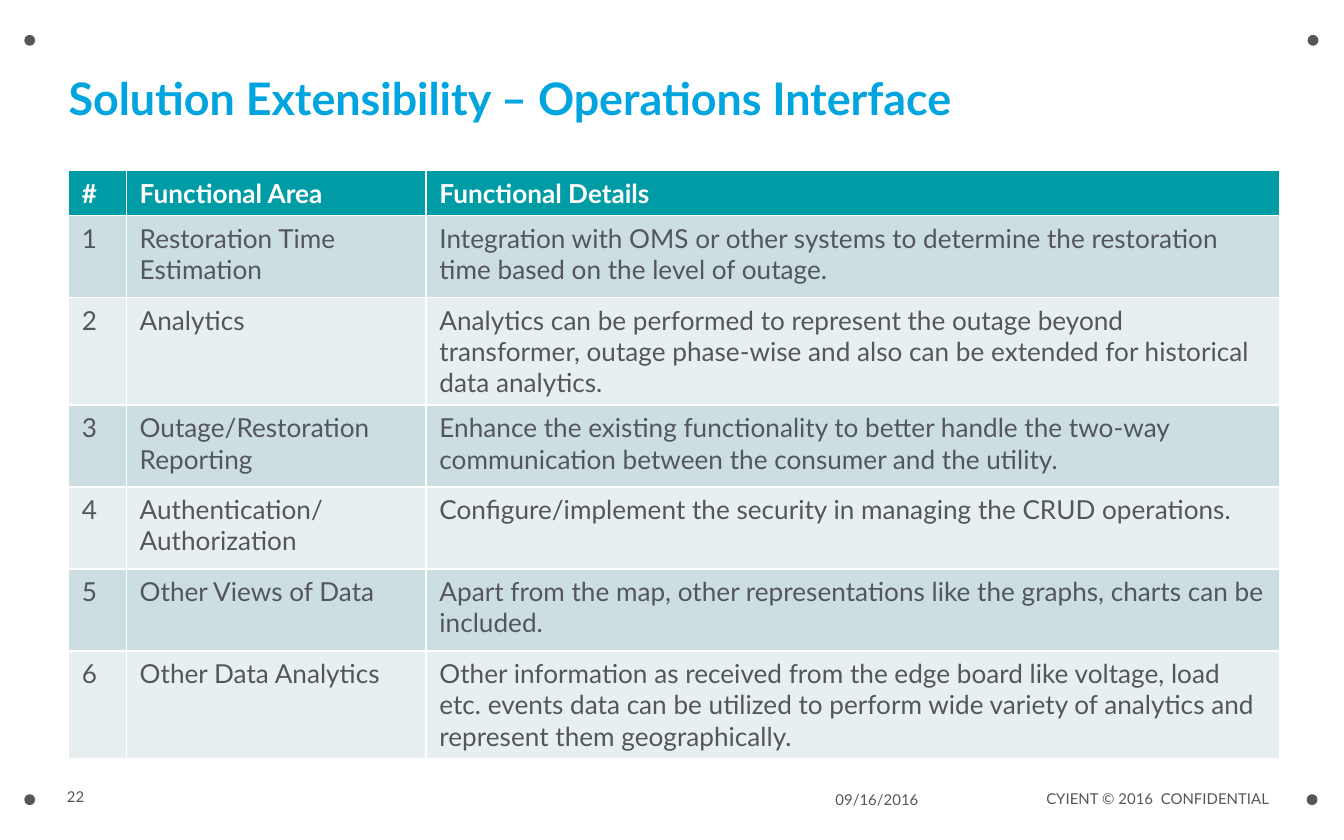
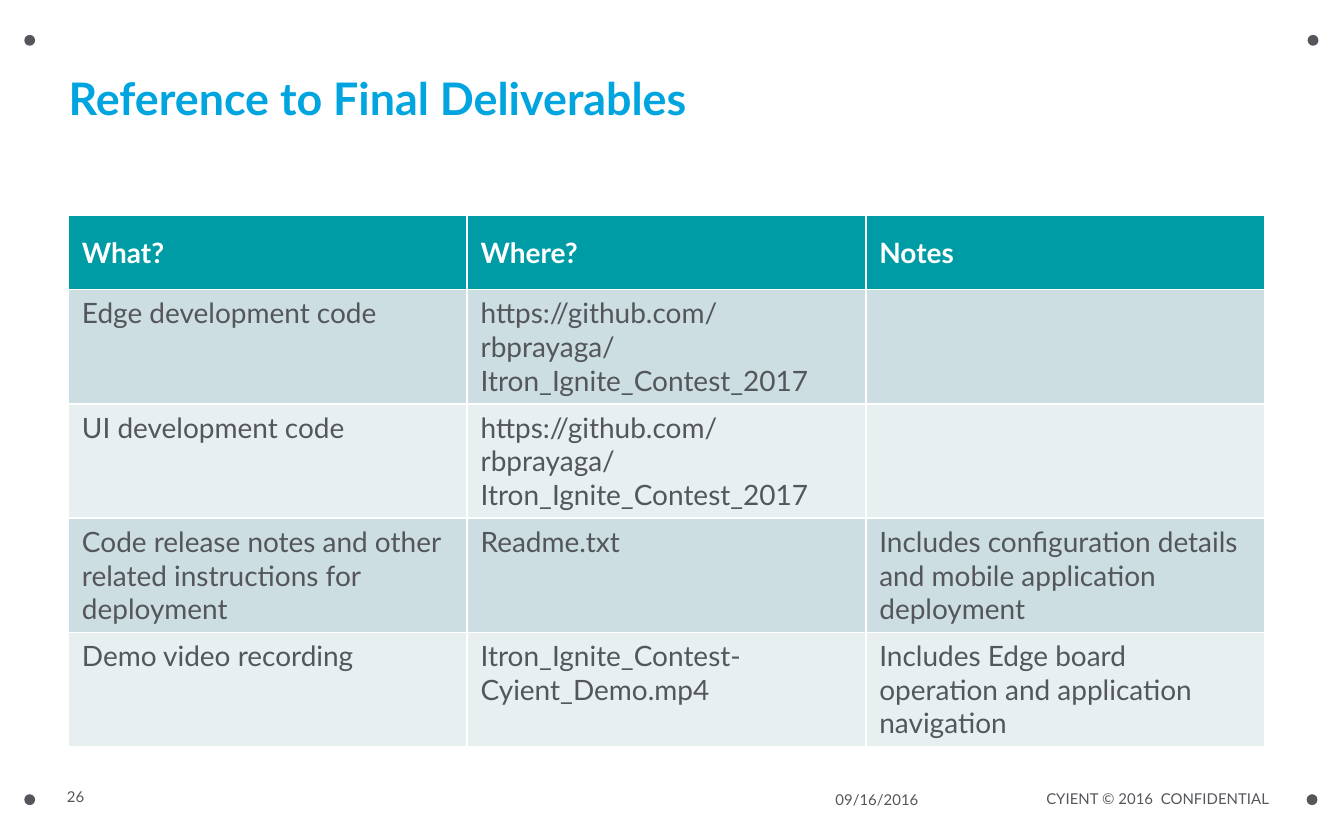
from dataclasses import dataclass

from pptx import Presentation
from pptx.dml.color import RGBColor
from pptx.enum import shapes, text
from pptx.util import Pt

BLUE = RGBColor(0x00, 0xA5, 0xDF)
TEAL = RGBColor(0x00, 0x9C, 0xA6)
GREY = RGBColor(0x53, 0x56, 0x5A)
WHITE = RGBColor(0xFF, 0xFF, 0xFF)
BANDS = (RGBColor(0xCC, 0xDE, 0xE1), RGBColor(0xE7, 0xEF, 0xF1))
FONT = "Lato"
TITLE_ONLY = 5
LEFT = 36.72

DOT_SIZE = 5.8
DOTS = ((13, 425.5), (13, 18.7), (700.5, 18.7), (700, 425.5))


@dataclass(frozen=True)
class Footer:
    words: str
    left: float
    top: float


@dataclass(frozen=True)
class Grid:
    top: float
    height: float
    columns: tuple[float, ...]
    row_heights: tuple[float, ...]
    size: float
    header_anchor: text.MSO_ANCHOR
    rows: tuple[tuple[str, ...], ...]


@dataclass(frozen=True)
class Page:
    title: str
    number: int
    grid: Grid


FOOTERS = (
    Footer("09/16/2016", 399.6, 424.8),
    Footer("CYIENT © 2016  CONFIDENTIAL", 550.08, 424.08),
)

REPOSITORY = "https://github.com/rbprayaga/Itron_Ignite_Contest_2017"

PAGES = (
    Page("Solution Extensibility – Operations Interface", 22, Grid(
        top=91.44, height=299.5,
        columns=(30.96, 160.56, 457.2),
        row_heights=(13.68,) + (43.92,) * 6,
        size=14, header_anchor=text.MSO_ANCHOR.TOP,
        rows=(
            ("#", "Functional Area", "Functional Details"),
            ("1", "Restoration Time Estimation",
             "Integration with OMS or other systems to determine the restoration "
             "time based on the level of outage."),
            ("2", "Analytics",
             "Analytics can be performed to represent the outage beyond transformer, "
             "outage phase-wise and also can be extended for historical data analytics."),
            ("3", "Outage/Restoration Reporting",
             "Enhance the existing functionality to better handle the two-way "
             "communication between the consumer and the utility."),
            ("4", "Authentication/Authorization",
             "Configure/implement the security in managing the CRUD operations."),
            ("5", "Other Views of Data",
             "Apart from the map, other representations like the graphs, charts "
             "can be included."),
            ("6", "Other Data Analytics",
             "Other information as received from the edge board like voltage, load "
             "etc. events data can be utilized to perform wide variety of analytics "
             "and represent them geographically."),
        ))),
    Page("Reference to Final Deliverables", 26, Grid(
        top=115.5, height=248.4,
        columns=(213.6,) * 3,
        row_heights=(39.6, 24.48, 20.16, 58.32, 39.6),
        size=15, header_anchor=text.MSO_ANCHOR.MIDDLE,
        rows=(
            ("What?", "Where?", "Notes"),
            ("Edge development code", REPOSITORY, ""),
            ("UI development code", REPOSITORY, ""),
            ("Code release notes and other related instructions for deployment",
             "Readme.txt",
             "Includes configuration details and mobile application deployment"),
            ("Demo video recording", "Itron_Ignite_Contest-Cyient_Demo.mp4",
             "Includes Edge board operation and application navigation"),
        ))),
)


def style_text(frame, size: float, color: RGBColor, bold: bool = False) -> None:
    for para in frame.paragraphs:
        for span in para.runs:
            span.font.name = FONT
            span.font.size = Pt(size)
            span.font.bold = bold
            span.font.color.rgb = color


def clear_insets(frame) -> None:
    frame.margin_left = frame.margin_right = 0
    frame.margin_top = frame.margin_bottom = 0


def add_title(slide, words: str) -> None:
    title = slide.shapes.title
    title.left, title.top = Pt(LEFT), Pt(41.04)
    title.width, title.height = Pt(652.3), Pt(51.1)
    frame = title.text_frame
    frame.text = words
    frame.auto_size = text.MSO_AUTO_SIZE.NONE
    frame.vertical_anchor = text.MSO_ANCHOR.TOP
    clear_insets(frame)
    para = frame.paragraphs[0]
    para.alignment = text.PP_ALIGN.LEFT
    para.line_spacing = 0.9
    style_text(frame, 24, BLUE, bold=True)


def add_corner_dots(slide) -> None:
    for left, top in DOTS:
        dot = slide.shapes.add_shape(shapes.MSO_SHAPE.OVAL, Pt(left), Pt(top),
                                     Pt(DOT_SIZE), Pt(DOT_SIZE))
        dot.shadow.inherit = False
        dot.fill.solid()
        dot.fill.fore_color.rgb = GREY
        dot.line.fill.background()


def add_footer(slide, footer: Footer) -> None:
    box = slide.shapes.add_textbox(Pt(footer.left), Pt(footer.top), Pt(140.4), Pt(8.64))
    frame = box.text_frame
    frame.text = footer.words
    frame.word_wrap = True
    frame.auto_size = text.MSO_AUTO_SIZE.SHAPE_TO_FIT_TEXT
    frame.vertical_anchor = text.MSO_ANCHOR.MIDDLE
    clear_insets(frame)
    para = frame.paragraphs[0]
    para.alignment = text.PP_ALIGN.CENTER
    para.line_spacing = 0.9
    style_text(frame, 8, GREY)


def add_page_number(slide, number: int) -> None:
    box = slide.shapes.add_textbox(Pt(28.8), Pt(418.3), Pt(49.7), Pt(13.7))
    box.text_frame.text = str(number)
    box.text_frame.word_wrap = True
    style_text(box.text_frame, 8, GREY)


def add_grid(slide, grid: Grid) -> None:
    """Add the table; its default style supplies the white cell borders."""
    holder = slide.shapes.add_table(len(grid.rows), len(grid.columns), Pt(LEFT),
                                    Pt(grid.top), Pt(sum(grid.columns)), Pt(grid.height))
    table = holder.table
    for column, width in zip(table.columns, grid.columns):
        column.width = Pt(width)
    for row, height in zip(table.rows, grid.row_heights):
        row.height = Pt(height)
    holder.height = Pt(grid.height)

    for row_index, words_in_row in enumerate(grid.rows):
        is_header = row_index == 0
        for column_index, words in enumerate(words_in_row):
            cell = table.cell(row_index, column_index)
            cell.text = words
            cell.fill.solid()
            cell.fill.fore_color.rgb = TEAL if is_header else BANDS[(row_index - 1) % 2]
            if is_header:
                cell.vertical_anchor = grid.header_anchor
            style_text(cell.text_frame, grid.size, WHITE if is_header else GREY, is_header)


def main() -> None:
    deck = Presentation()
    deck.slide_width, deck.slide_height = Pt(720), Pt(450)
    for page in PAGES:
        slide = deck.slides.add_slide(deck.slide_layouts[TITLE_ONLY])
        add_corner_dots(slide)
        for footer in FOOTERS:
            add_footer(slide, footer)
        add_title(slide, page.title)
        add_page_number(slide, page.number)
        add_grid(slide, page.grid)
    deck.save("out.pptx")


if __name__ == "__main__":
    main()
